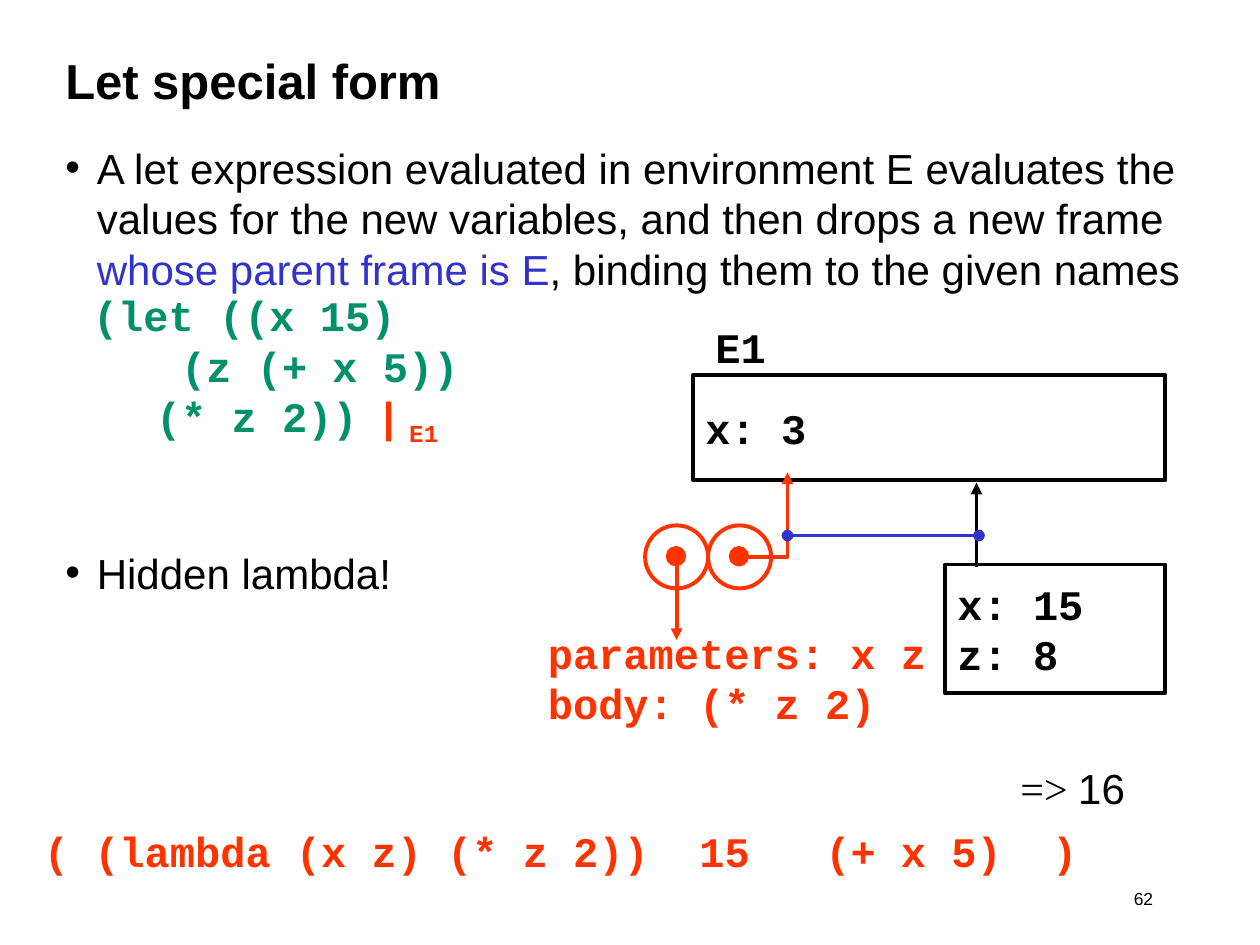
from pptx import Presentation
from pptx.dml.color import RGBColor
from pptx.enum.shapes import MSO_CONNECTOR, MSO_SHAPE
from pptx.enum.text import MSO_ANCHOR, PP_ALIGN
from pptx.oxml.ns import qn
from pptx.util import Emu, Pt
from lxml.etree import SubElement

PX = 9144  # EMU per px, 100 px to the inch
COLORS = {"black": "000000", "green": "00906A", "red": "FF3300", "blue": "3333CC"}
SANS, MONO, SERIF = "Arial", "Courier New", "Times New Roman"
LINE_WIDTH = Pt(2.25)


def px(*values):
    return [Emu(value * PX) for value in values]


def rgb(name):
    return RGBColor.from_string(COLORS[name])


def format_run(run, font=SANS, color="black", size=24, bold=False):
    run.font.name = font
    run.font.size = Pt(size)
    run.font.bold = bold
    run.font.color.rgb = rgb(color)


def write(text_frame, text, align=PP_ALIGN.LEFT, **style):
    text_frame.text = text
    for paragraph in text_frame.paragraphs:
        paragraph.alignment = align
        for run in paragraph.runs:
            format_run(run, **style)


def add_text(slide, box, text, wrap=False, anchor=MSO_ANCHOR.TOP, **style):
    text_frame = slide.shapes.add_textbox(*px(*box)).text_frame
    text_frame.word_wrap = wrap
    text_frame.vertical_anchor = anchor
    write(text_frame, text, **style)
    return text_frame


def add_run(paragraph, text, **style):
    run = paragraph.add_run()
    run.text = text
    format_run(run, **style)
    return run


def add_bullet(paragraph):
    properties = paragraph._p.get_or_add_pPr()
    properties.set("marL", str(25 * PX))
    properties.set("indent", str(-25 * PX))
    bullet_color = SubElement(properties, qn("a:buClr"))
    SubElement(bullet_color, qn("a:srgbClr")).set("val", COLORS["black"])
    SubElement(properties, qn("a:buFont")).set("typeface", SANS)
    SubElement(properties, qn("a:buChar")).set("char", "•")


def style_outline(shape, color):
    shape.line.color.rgb = rgb(color)
    shape.line.width = LINE_WIDTH


def add_outlined(slide, kind, box, color, filled=False):
    shape = slide.shapes.add_shape(kind, *px(*box))
    shape.shadow.inherit = False
    if filled:
        shape.fill.solid()
        shape.fill.fore_color.rgb = rgb(color)
    else:
        shape.fill.background()
    style_outline(shape, color)
    return shape


def add_frame(slide, box, bindings):
    shape = add_outlined(slide, MSO_SHAPE.RECTANGLE, box, "black")
    shape.text_frame.word_wrap = False
    shape.text_frame.vertical_anchor = MSO_ANCHOR.MIDDLE
    write(shape.text_frame, bindings, font=MONO, bold=True)


def add_ends(shape, head=None, tail=None):
    line = shape.line._get_or_add_ln()
    for tag, end in (("a:headEnd", head), ("a:tailEnd", tail)):
        if end:
            SubElement(line, qn(tag)).set("type", end)


def add_line(slide, points, color, **ends):
    line = slide.shapes.add_connector(MSO_CONNECTOR.STRAIGHT, *px(*points))
    style_outline(line, color)
    add_ends(line, **ends)
    SubElement(line._element.spPr, qn("a:effectLst"))


def add_elbow_arrow(slide, points, color):
    builder = slide.shapes.build_freeform(*points[0], scale=PX)
    builder.add_line_segments(points[1:], close=False)
    shape = builder.convert_to_shape()
    shape.shadow.inherit = False
    shape.fill.background()
    style_outline(shape, color)
    add_ends(shape, tail="triangle")


def add_body(slide):
    body = add_text(slide, (42, 108, 925, 392), "", wrap=True)
    explanation, remark = body.paragraphs[0], body.add_paragraph()
    for paragraph in (explanation, remark):
        add_bullet(paragraph)
    add_run(explanation, "A let expression evaluated in environment E evaluates the "
                         "values for the new variables, and then drops a new frame ")
    add_run(explanation, "whose parent frame is E", color="blue")
    add_run(explanation, ", binding them to the given names")
    # Room for the let expression between the two bullets
    remark.space_before = Pt(145)
    add_run(remark, "Hidden lambda!")


def add_let_code(slide):
    code = add_text(slide, (64, 225, 360, 136),
                    "(let ((x 15)\n\t (z (+ x 5))\n\t(* z 2)) ",
                    font=MONO, color="green", bold=True)
    last_line = code.paragraphs[-1]
    add_run(last_line, "|", color="red", bold=True)
    environment = add_run(last_line, " E1", font=MONO, color="red", bold=True)
    environment._r.get_or_add_rPr().set("baseline", "-25000")


def add_procedure(slide):
    # Two circles, each with a dot in its centre
    for left in (512, 562):
        add_outlined(slide, MSO_SHAPE.OVAL, (left, 417, 50, 50), "red")
        add_outlined(slide, MSO_SHAPE.OVAL, (left + 18, 435, 13, 13), "red", filled=True)
    add_line(slide, (537, 442, 537, 508), "red", tail="triangle")
    add_elbow_arrow(slide, [(587, 442), (625, 442), (625, 375)], "red")
    add_text(slide, (425, 493, 320, 90), "parameters: x z\nbody: (* z 2)",
             font=MONO, color="red", bold=True)


def main():
    presentation = Presentation()
    presentation.slide_width, presentation.slide_height = px(1000, 750)
    slide = presentation.slides.add_slide(presentation.slide_layouts[6])

    # Title and text
    add_text(slide, (42, 17, 850, 92), "Let special form", wrap=True,
             anchor=MSO_ANCHOR.MIDDLE, size=28, bold=True)
    add_body(slide)
    add_let_code(slide)

    # Environment frames
    add_frame(slide, (550, 298, 375, 83), "x: 3")
    add_frame(slide, (750, 448, 175, 102), "x: 15\nz: 8")
    add_line(slide, (775, 450, 775, 383), "black", tail="triangle")
    add_text(slide, (558, 250, 60, 50), "E1", font=MONO, bold=True)

    # Procedure object and its link to the new frame
    add_procedure(slide)
    add_line(slide, (625, 425, 777, 425), "blue", head="oval", tail="oval")

    # Result and equivalent lambda call
    result = add_text(slide, (800, 600, 103, 50), "=> ", font=SERIF)
    add_run(result.paragraphs[0], "16")
    add_text(slide, (25, 650, 850, 50), "( (lambda (x z) (* z 2))  15   (+ x 5)  )",
             wrap=True, font=MONO, color="red", bold=True)

    # Page number
    add_text(slide, (683, 700, 242, 33), "62", wrap=True, align=PP_ALIGN.RIGHT, size=10)

    presentation.save("out.pptx")


if __name__ == "__main__":
    main()
